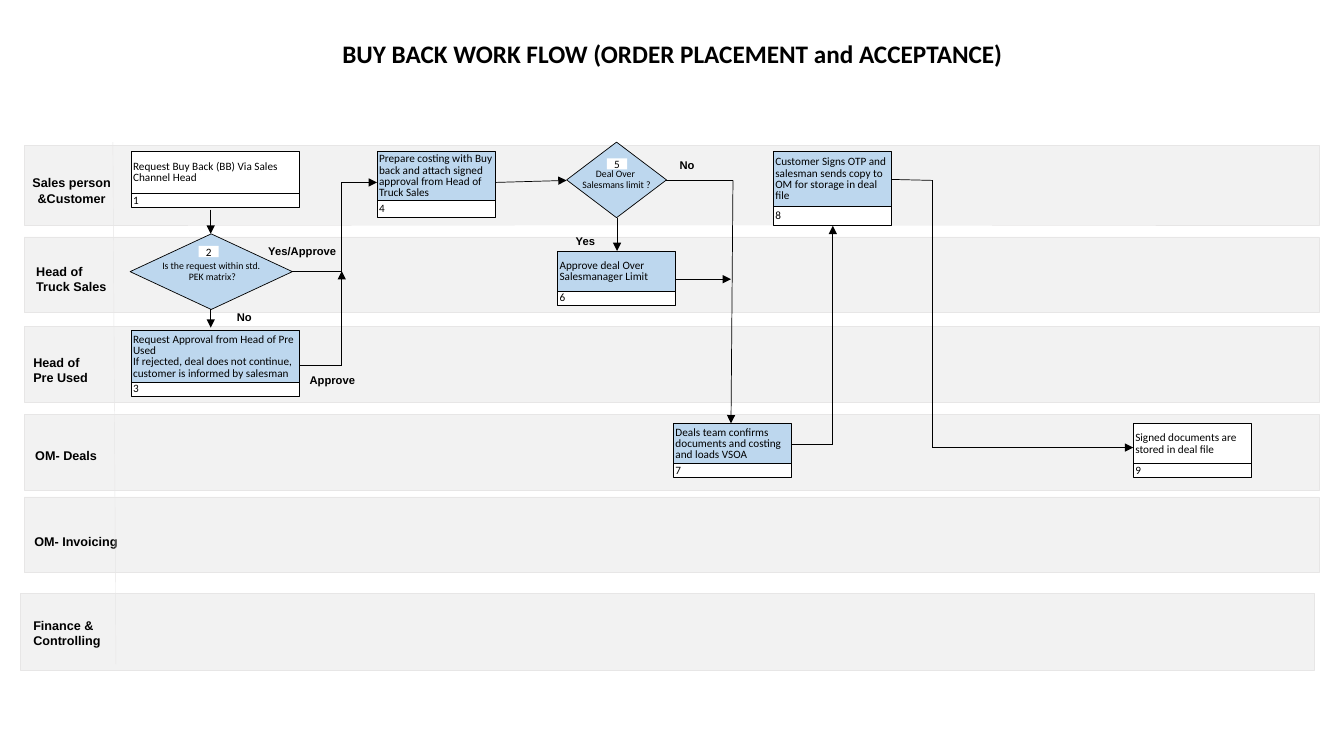
"""Build the buy back work flow swimlane slide."""
from itertools import pairwise

from lxml import etree
from pptx import Presentation
from pptx.dml.color import RGBColor
from pptx.enum.shapes import MSO_CONNECTOR, MSO_SHAPE
from pptx.enum.text import MSO_ANCHOR, MSO_AUTO_SIZE, PP_ALIGN
from pptx.oxml.ns import qn
from pptx.util import Inches, Pt

RECT, DIAMOND = MSO_SHAPE.RECTANGLE, MSO_SHAPE.DIAMOND
STRAIGHT = MSO_CONNECTOR.STRAIGHT
MIDDLE, TOP = MSO_ANCHOR.MIDDLE, MSO_ANCHOR.TOP
LEFT, CENTER = PP_ALIGN.LEFT, PP_ALIGN.CENTER
FIXED = MSO_AUTO_SIZE.NONE

COLUMNS, ROWS = 1333, 750
CELL = Inches(0.01)
INSET = 2

THEME = {
    "ink": "000000", "paper": "FFFFFF", "step": "BDD7EE",
    "lane": "F2F2F2", "lane_edge": "E7E6E6",
    "edge_width": 0.5, "lane_width": 0.3,
    "title": {"name": "Calibri", "size": Pt(18), "bold": True},
    "role": {"name": "Arial", "size": Pt(9), "bold": True},
    "answer": {"name": "Arial", "size": Pt(8), "bold": True},
    "step_text": {"name": "Calibri", "size": Pt(8), "bold": False},
    "question": {"name": "Calibri", "size": Pt(7), "bold": False},
}

TITLE = ("BUY BACK WORK FLOW (ORDER PLACEMENT and ACCEPTANCE)", (326, 33, 682, 40))

LANE_WIDTH = 1284
LANES = [
    ("Sales person &Customer", (24, 144, 79), (32, 174, 78, 30), CENTER),
    ("Head of Truck Sales", (24, 235, 75), (36, 262, 76, 30), LEFT),
    ("Head of Pre Used", (24, 324, 75), (33, 352, 59, 30), LEFT),
    ("OM- Deals", (24, 411, 75), (35, 444, 83, 15), LEFT),
    ("OM- Invoicing", (24, 493, 75), (34, 522, 83, 30), LEFT),
    ("Finance & Controlling", (20, 589, 76), (33, 613, 79, 30), LEFT),
]
ROLE_DIVIDER = [(112, 141), (115, 659)]

WIDE, NARROW = 167, 117
STEPS = [
    ("1", ["Request Buy Back (BB) Via Sales Channel Head"],
     (130, 150, WIDE, 43), 14, "paper"),
    ("3", ["Request Approval from Head of Pre Used",
           "If rejected, deal does not continue, customer is informed by salesman"],
     (130, 328, WIDE, 52), 14, "step"),
    ("4", ["Prepare costing with Buy back and attach signed approval "
           "from Head of Truck Sales"],
     (374, 150, NARROW, 50), 17, "step"),
    ("6", ["Approve deal Over Salesmanager Limit"],
     (553, 249, NARROW, 41), 14, "step"),
    ("7", ["Deals team confirms documents and costing and loads VSOA"],
     (668, 420, NARROW, 41), 14, "step"),
    ("8", ["Customer Signs OTP and salesman sends copy to OM for storage in deal file"],
     (767, 150, NARROW, 56), 19, "step"),
    ("9", ["Signed documents are stored in deal file"],
     (1124, 420, NARROW, 41), 14, "paper"),
]

BADGE = (20, 11)
DECISIONS = [
    ("2", ["Is the request within std.", " PEK matrix?"], (129, 232, 161, 75), (197, 244)),
    ("5", ["Deal Over ", "Salesmans limit ?"], (562, 141, 99, 75), (602, 157)),
]

ANSWERS = [
    ("No", (235, 308, 54, 16)),
    ("Yes/Approve", (266, 242, 75, 19)),
    ("Approve", (307, 370, 75, 19)),
    ("Yes", (571, 232, 26, 14)),
    ("No", (674, 157, 26, 18)),
]

APPROVED, SIGNED, STORED = 339, 826, 925
ROUTES = [
    [(209, 208), (209, 232)],
    [(209, 307), (209, 325)],
    [(289, 269), (APPROVED, 269), (APPROVED, 181), (374, 181)],
    [(298, 362), (APPROVED, 362), (APPROVED, 269)],
    [(491, 181), (562, 179)],
    [(612, 216), (612, 249)],
    [(670, 277), (725, 277)],
    [(661, 179), (727, 179), (725, 420)],
    [(786, 441), (SIGNED, 441), (SIGNED, 224)],
    [(884, 178), (STORED, 179), (STORED, 444), (1124, 444)],
]


def grid(cells):
    return [cell * CELL for cell in cells]


def color(key):
    return RGBColor.from_string(THEME[key])


def apply(target, values):
    for name, value in values.items():
        setattr(target, name, value)


def write(holder, lines, style, align=LEFT, inset=0, anchor=MIDDLE, wrap=True, **spacing):
    frame = holder.text_frame
    apply(frame, {
        "text": "\n".join(lines), "auto_size": FIXED, "word_wrap": wrap,
        "vertical_anchor": anchor, "margin_top": 0, "margin_bottom": 0,
        "margin_left": inset * CELL, "margin_right": inset * CELL,
    })
    for paragraph in frame.paragraphs:
        apply(paragraph, {"alignment": align, **spacing})
        for run in paragraph.runs:
            apply(run.font, THEME[style])
            run.font.color.rgb = color("ink")


def block(slide, kind, cells, fill, edge=None, width="edge_width"):
    shape = slide.shapes.add_shape(kind, *grid(cells))
    shape.shadow.inherit = False
    shape.fill.solid()
    shape.fill.fore_color.rgb = color(fill)
    if edge:
        shape.line.color.rgb = color(edge)
        shape.line.width = Pt(THEME[width])
    else:
        shape.line.fill.background()
    return shape


def draw_route(slide, points, edge="ink", width="edge_width", arrow=True):
    for start, end in pairwise(points):
        line = slide.shapes.add_connector(STRAIGHT, *grid(start + end))
        line.line.color.rgb = color(edge)
        line.line.width = Pt(THEME[width])
        properties = line._element.spPr
        if arrow and end == points[-1]:
            etree.SubElement(properties.find(qn("a:ln")), qn("a:tailEnd"), type="triangle")
        etree.SubElement(properties, qn("a:effectLst"))


def draw_lanes(slide):
    for role, (x, y, height), role_cells, align in LANES:
        block(slide, RECT, (x, y, LANE_WIDTH, height), "lane", "lane_edge", "lane_width")
        write(block(slide, RECT, role_cells, "lane"), [role], "role", align)
    draw_route(slide, ROLE_DIVIDER, "lane_edge", "lane_width", arrow=False)


def draw_steps(slide):
    for number, lines, (x, y, width, height), foot, fill in STEPS:
        parts = [(lines, y, height, fill), ([number], y + height - 1, foot, "paper")]
        for words, top, tall, paint in parts:
            box = block(slide, RECT, (x, top, width, tall), paint, "ink")
            write(box, words, "step_text", inset=INSET, line_spacing=0.85)
    for number, lines, cells, corner in DECISIONS:
        question = block(slide, DIAMOND, cells, "step", "ink")
        write(question, lines, "question", CENTER, INSET, wrap=False, line_spacing=0.9)
        badge = block(slide, RECT, corner + BADGE, "paper")
        write(badge, [number], "step_text", CENTER, space_before=Pt(4))


def main():
    deck = Presentation()
    apply(deck, {"slide_width": COLUMNS * CELL, "slide_height": ROWS * CELL})
    slide = deck.slides.add_slide(deck.slide_layouts[5])
    heading, cells = TITLE
    title = slide.shapes.title
    apply(title, dict(zip(("left", "top", "width", "height"), grid(cells))))
    write(title, [heading], "title", CENTER, wrap=False)
    draw_lanes(slide)
    draw_steps(slide)
    for points in ROUTES:
        draw_route(slide, points)
    for answer, cells in ANSWERS:
        label = slide.shapes.add_textbox(*grid(cells))
        write(label, [answer], "answer", anchor=TOP, space_before=Pt(4))
    deck.save("out.pptx")


if __name__ == "__main__":
    main()
